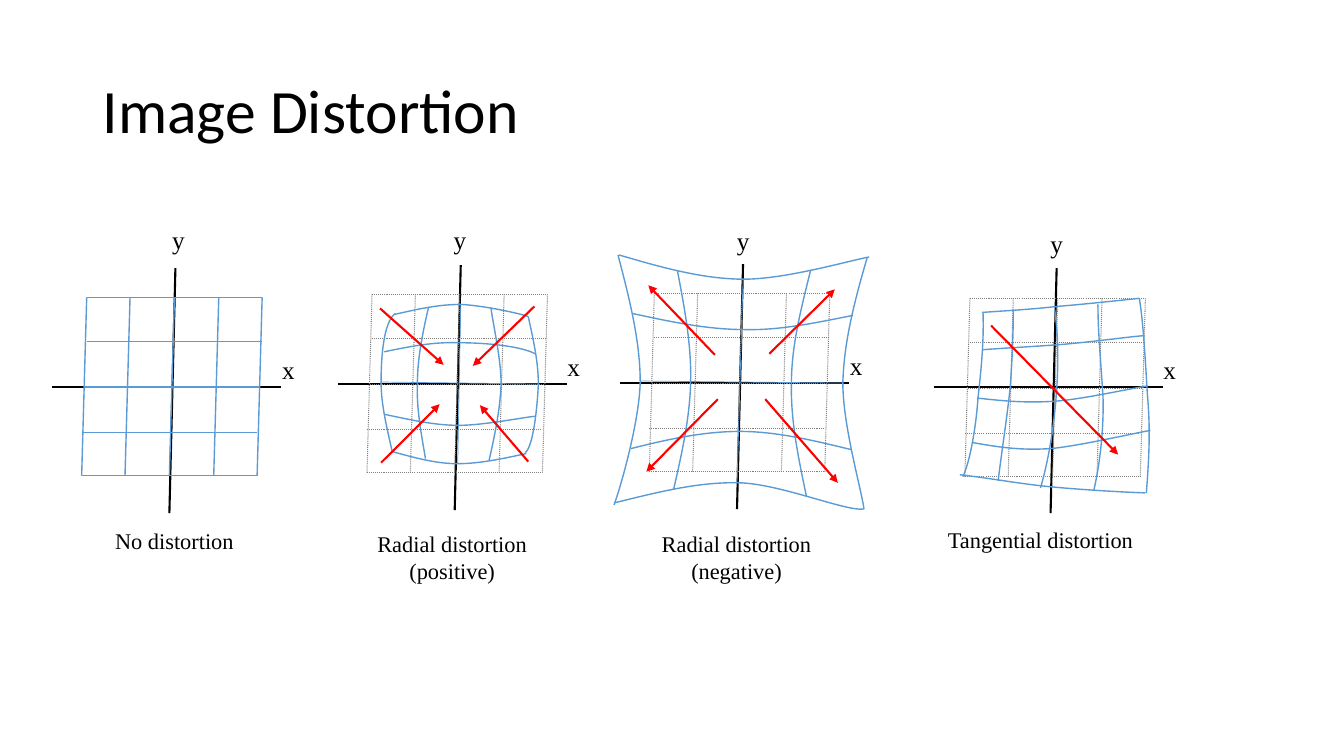
from dataclasses import dataclass

from lxml import etree
from pptx import Presentation
from pptx.dml.color import RGBColor
from pptx.enum.dml import MSO_LINE
from pptx.enum.shapes import MSO_CONNECTOR
from pptx.enum.text import MSO_ANCHOR, PP_ALIGN
from pptx.oxml.ns import qn
from pptx.util import Inches, Pt

STRAIGHT = MSO_CONNECTOR.STRAIGHT
DOTTED = MSO_LINE.ROUND_DOT
LEFT, CENTER = PP_ALIGN.LEFT, PP_ALIGN.CENTER
MIDDLE = MSO_ANCHOR.MIDDLE


@dataclass(frozen=True)
class Theme:
    black: RGBColor = RGBColor(0, 0, 0)
    blue: RGBColor = RGBColor(0x5B, 0x9B, 0xD5)
    gray: RGBColor = RGBColor(0x80, 0x80, 0x80)
    red: RGBColor = RGBColor(0xFF, 0, 0)
    title_font: str = "Calibri"
    label_font: str = "Times New Roman"
    title_size: int = 44
    axis_size: int = 18
    caption_size: int = 16


THEME = Theme()

# Grid lines relative to the top left corner of a slightly sheared grid
GRID_WIDTH, GRID_HEIGHT, GRID_SHEAR = 1.74, 1.77, 0.05
GRID_ROWS = [(0, 0), (0, 0.44), (0.02, 0.89), (0.05, 1.34), (0.05, 1.77)]
GRID_COLUMNS = [0, 0.43, 0.87, 1.31, 1.74]

# Each panel: left end of x axis, grid corner, y label corner, caption box, caption
PANELS = [
    ((0.52, 3.84), (0.86, 2.95), (1.61, 2.18), (0.61, 5.18, 2.24, 0.56), "No distortion"),
    ((3.35, 3.81), (3.69, 2.92), (4.4, 2.18), (3.11, 5.21, 2.75, 0.97),
     "Radial distortion\n(positive)"),
    ((6.15, 3.8), (6.49, 2.91), (7.21, 2.19), (5.93, 5.21, 2.75, 0.97),
     "Radial distortion\n(negative)"),
    ((9.26, 3.84), (9.62, 2.96), (10.32, 2.22), (8.64, 5.17, 3.36, 0.56),
     "Tangential distortion"),
]

# Start point, then two control points and an end point for every Bezier segment
POSITIVE_CURVES = [
    [(3.81, 3.49), (4.05, 3.44), (4.3, 3.39), (4.55, 3.4), (4.8, 3.4), (5.16, 3.43), (5.31, 3.51)],
    [(3.81, 4.11), (4.05, 4.16), (4.3, 4.22), (4.55, 4.22), (4.8, 4.22), (5.19, 4.14), (5.31, 4.13)],
    [(3.89, 4.48), (4.11, 4.54), (4.32, 4.6), (4.54, 4.6), (4.76, 4.6), (4.99, 4.55), (5.22, 4.5)],
    [(3.91, 3.12), (4.13, 3.07), (4.34, 3.02), (4.57, 3.02), (4.79, 3.03), (5.16, 3.11), (5.24, 3.14)],
    [(4.22, 4.55), (4.18, 4.31), (4.13, 4.06), (4.14, 3.81), (4.14, 3.56), (4.19, 3.31), (4.25, 3.05)],
    [(3.89, 4.48), (3.84, 4.25), (3.78, 4.02), (3.78, 3.79), (3.78, 3.57), (3.8, 3.2), (3.92, 3.11)],
    [(5.24, 3.14), (5.29, 3.37), (5.34, 3.59), (5.34, 3.81), (5.33, 4.04), (5.29, 4.43), (5.21, 4.49)],
    [(4.85, 4.57), (4.91, 4.31), (4.96, 4.06), (4.97, 3.81), (4.97, 3.55), (4.88, 3.17), (4.87, 3.05)],
]
NEGATIVE_CURVES = [
    [(6.13, 2.53), (6.24, 2.95), (6.35, 3.38), (6.35, 3.79), (6.34, 4.2), (6.15, 4.85), (6.09, 5.01)],
    [(6.14, 2.53), (6.55, 2.65), (6.97, 2.77), (7.38, 2.77), (7.79, 2.77), (8.41, 2.59), (8.62, 2.55)],
    [(8.6, 2.56), (8.48, 2.97), (8.37, 3.39), (8.36, 3.8), (8.36, 4.22), (8.54, 4.84), (8.57, 5.05)],
    [(6.09, 4.99), (6.5, 4.89), (6.91, 4.78), (7.33, 4.79), (7.74, 4.8), (8.4, 5.08), (8.57, 5.05)],
    [(6.26, 4.45), (6.62, 4.36), (6.97, 4.28), (7.34, 4.28), (7.7, 4.28), (8.07, 4.37), (8.44, 4.46)],
    [(6.27, 3.11), (6.64, 3.19), (7.01, 3.27), (7.38, 3.27), (7.74, 3.28), (8.1, 3.2), (8.46, 3.13)],
    [(6.72, 2.69), (6.79, 3.06), (6.86, 3.43), (6.85, 3.8), (6.84, 4.16), (6.76, 4.51), (6.68, 4.86)],
    [(8.04, 2.68), (7.95, 3.05), (7.85, 3.42), (7.85, 3.8), (7.84, 4.17), (7.92, 4.55), (8, 4.93)],
]
TANGENTIAL_CURVES = [
    [(10.05, 3.07), (10.05, 3.3), (10.04, 3.56), (10.02, 3.84), (9.99, 4.13), (9.92, 4.59), (9.9, 4.77)],
    [(9.74, 3.47), (10.02, 3.45), (10.23, 3.44), (10.5, 3.42), (10.77, 3.4), (11.21, 3.34), (11.35, 3.33)],
    [(9.69, 3.95), (9.97, 3.98), (10.19, 4), (10.47, 3.98), (10.75, 3.96), (11.23, 3.85), (11.38, 3.83)],
    [(9.64, 4.39), (9.92, 4.44), (10.13, 4.47), (10.43, 4.45), (10.72, 4.42), (11.24, 4.3), (11.41, 4.27)],
    [(9.74, 3.1), (10.02, 3.08), (10.23, 3.07), (10.49, 3.04), (10.75, 3.02), (11.3, 2.96), (11.3, 2.96)],
    [(9.75, 3.1), (9.76, 3.4), (9.73, 3.68), (9.7, 3.95), (9.68, 4.25), (9.62, 4.58), (9.55, 4.73)],
    [(11.3, 2.96), (11.34, 3.2), (11.36, 3.58), (11.38, 3.91), (11.41, 4.25), (11.4, 4.5), (11.37, 4.89)],
    [(10.89, 3.02), (10.89, 3.3), (10.92, 3.6), (10.94, 3.93), (10.95, 4.25), (10.91, 4.6), (10.85, 4.86)],
    [(10.46, 3.07), (10.5, 3.35), (10.5, 3.65), (10.47, 4), (10.44, 4.32), (10.39, 4.6), (10.32, 4.84)],
    [(9.52, 4.71), (9.79, 4.74), (10.06, 4.79), (10.33, 4.82), (10.6, 4.85), (11.06, 4.88), (11.36, 4.89)],
]
CENTER_LINES = [
    ((3.78, 3.79), (5.34, 3.81)), ((4.57, 3.02), (4.54, 4.6)),
    ((6.35, 3.78), (8.36, 3.8)), ((7.37, 2.77), (7.31, 4.79)),
]
ARROWS = [
    ((7.63, 3.51), (8.28, 2.87)), ((7.09, 3.52), (6.43, 2.83)),
    ((7.12, 3.96), (6.41, 4.68)), ((7.59, 3.96), (8.31, 4.79)),
    ((5.24, 4.58), (4.76, 4.02)), ((3.78, 4.59), (4.36, 4.01)),
    ((3.77, 3.06), (4.4, 3.62)), ((5.3, 3.04), (4.69, 3.63)),
    ((9.83, 3.23), (11.09, 4.51)),
]


def add_line(s, start, end, color, width, dash=None, arrow=False):
    line = s.shapes.add_connector(STRAIGHT, *map(Inches, (*start, *end)))
    line.line.color.rgb = color
    line.line.width = Pt(width)
    if dash is not None:
        line.line.dash_style = dash
    if arrow:
        etree.SubElement(line.line._get_or_add_ln(), qn("a:tailEnd"), type="triangle")
    etree.SubElement(line._element.spPr, qn("a:effectLst"))


def add_curve(s, points):
    """Build an open outline and turn every three of its points into a Bezier segment."""
    start, *rest = [tuple(map(Inches, point)) for point in points]
    builder = s.shapes.build_freeform(*start)
    builder.add_line_segments(rest, close=False)
    curve = builder.convert_to_shape()
    outline = curve._element.find(".//" + qn("a:path"))
    steps = outline.findall(qn("a:lnTo"))
    for i in range(0, len(steps), 3):
        segment = etree.SubElement(outline, qn("a:cubicBezTo"))
        for step in steps[i:i + 3]:
            segment.append(step[0])
            outline.remove(step)
    curve.shadow.inherit = False
    curve.fill.background()
    curve.line.color.rgb = THEME.blue
    curve.line.width = Pt(1)


def format_text(tf, font, size, align):
    tf.word_wrap = True
    for p in tf.paragraphs:
        p.alignment = align
        for r in p.runs:
            r.font.name = font
            r.font.size = Pt(size)
            r.font.color.rgb = THEME.black


def add_label(s, text, box, size, align=LEFT):
    tf = s.shapes.add_textbox(*map(Inches, box)).text_frame
    tf.text = text
    format_text(tf, THEME.label_font, size, align)


def add_axes(s, left, y, y_label):
    add_line(s, (left, y), (left + 2.27, y), THEME.black, 1.5)
    add_line(s, (left + 1.22, y - 1.18), (left + 1.16, y + 1.25), THEME.black, 1.5)
    add_label(s, "x", (left + 2.18, y - 0.37, 0.5, 0.61), THEME.axis_size)
    add_label(s, "y", (*y_label, 0.5, 0.61), THEME.axis_size)


def add_grid(s, left, top, color, width, dash):
    for shift, dy in GRID_ROWS:
        x, y = left - shift, top + dy
        add_line(s, (x, y), (x + GRID_WIDTH, y), color, width, dash)
    for dx in GRID_COLUMNS:
        x = left + dx
        add_line(s, (x, top), (x - GRID_SHEAR, top + GRID_HEIGHT), color, width, dash)


def add_title(s, text):
    title = s.shapes.title
    title.left, title.top, title.width, title.height = map(Inches, (0.92, 0.4, 11.5, 1.45))
    tf = title.text_frame
    tf.text = text
    tf.vertical_anchor = MIDDLE
    tf.paragraphs[0].line_spacing = 0.9
    format_text(tf, THEME.title_font, THEME.title_size, LEFT)


def main():
    prs = Presentation()
    prs.slide_width, prs.slide_height = Inches(13.33), Inches(7.5)
    s = prs.slides.add_slide(prs.slide_layouts[5])
    add_title(s, "Image Distortion")
    for i, (axis, grid, y_label, caption_box, caption) in enumerate(PANELS):
        add_axes(s, *axis, y_label)
        style = (THEME.gray, 0.75, DOTTED) if i else (THEME.blue, 1, None)
        add_grid(s, *grid, *style)
        add_label(s, caption, caption_box, THEME.caption_size, CENTER)
    for points in POSITIVE_CURVES + NEGATIVE_CURVES + TANGENTIAL_CURVES:
        add_curve(s, points)
    for start, end in CENTER_LINES:
        add_line(s, start, end, THEME.blue, 0.5)
    for start, end in ARROWS:
        add_line(s, start, end, THEME.red, 1.5, arrow=True)
    prs.save("out.pptx")


if __name__ == "__main__":
    main()
